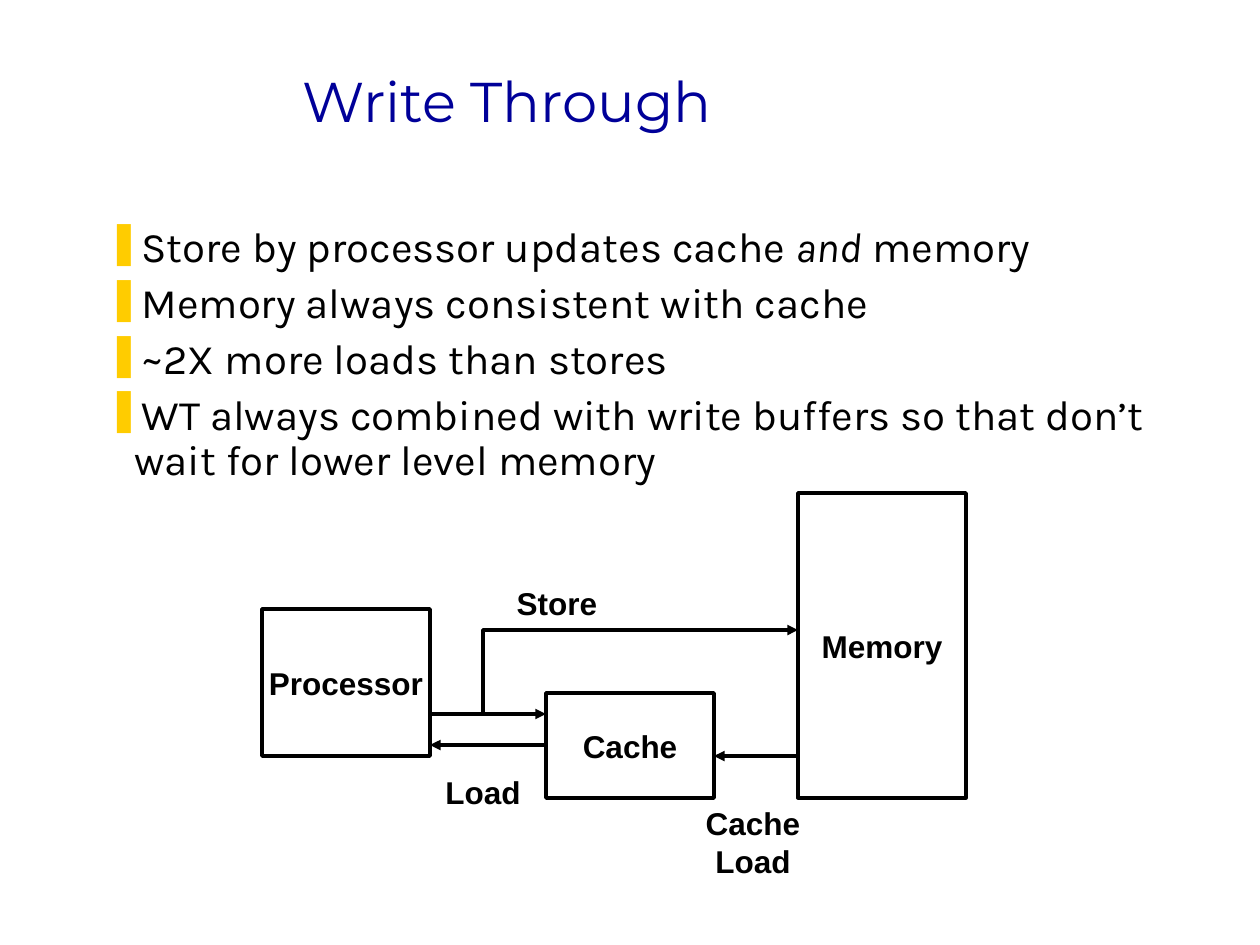
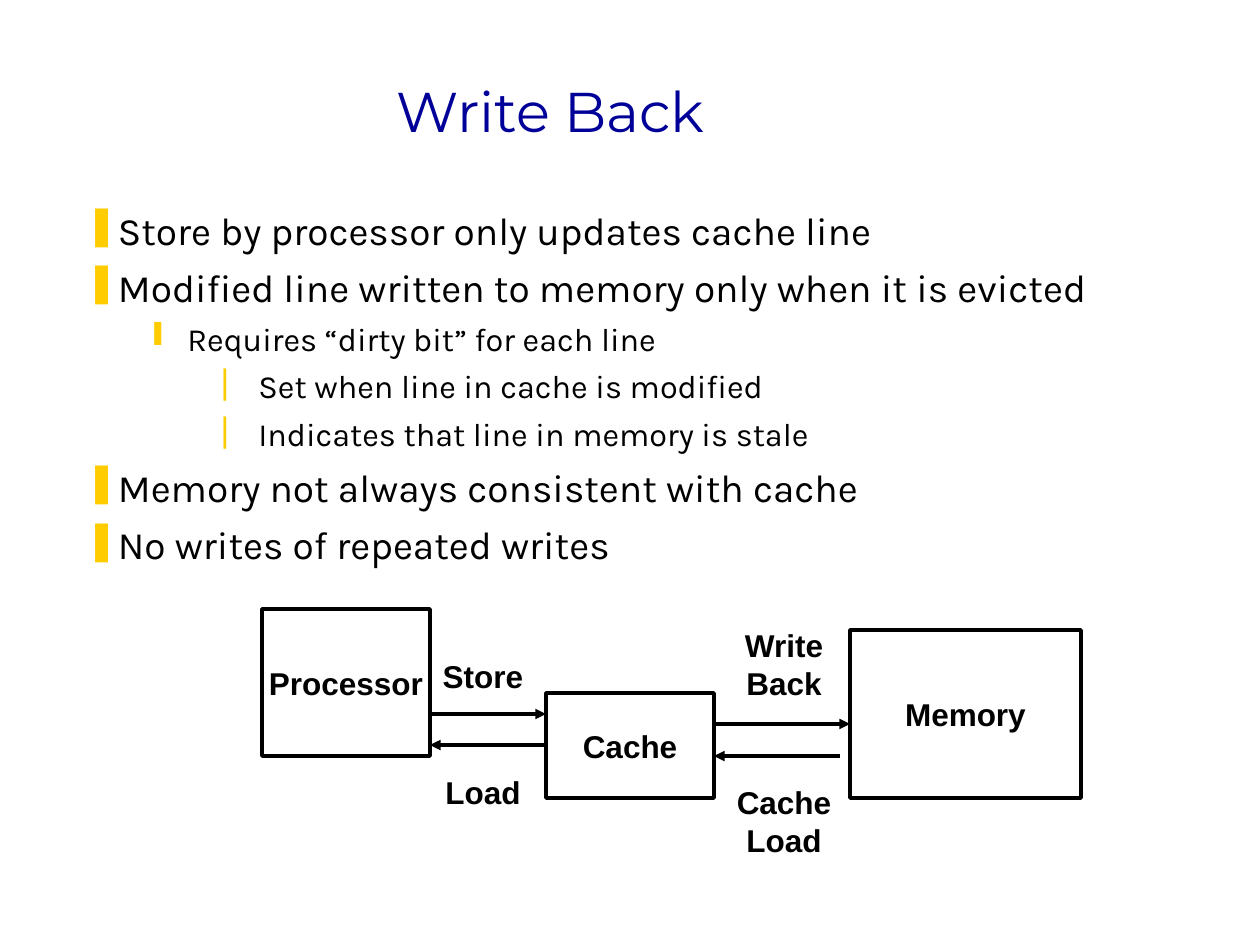
from lxml import etree
from pptx import Presentation
from pptx.dml.color import RGBColor
from pptx.enum.shapes import MSO_CONNECTOR, MSO_SHAPE
from pptx.enum.text import MSO_ANCHOR, PP_ALIGN
from pptx.oxml.ns import qn
from pptx.util import Emu, Pt

RECTANGLE, STRAIGHT = MSO_SHAPE.RECTANGLE, MSO_CONNECTOR.STRAIGHT
MIDDLE, CENTER = MSO_ANCHOR.MIDDLE, PP_ALIGN.CENTER

NAVY = RGBColor(0x00, 0x00, 0x99)
GOLD = RGBColor(0xFF, 0xCC, 0x00)
BLACK = RGBColor(0x00, 0x00, 0x00)
WHITE = RGBColor(0xFF, 0xFF, 0xFF)

TITLE_FONT, BODY_FONT, DIAGRAM_FONT = "Montserrat", "Karla", "Arial"
PX_PER_INCH = 126
PAGE_WIDTH, PAGE_HEIGHT = 1260, 945
LINE_WIDTH = Pt(2)

# Outline level: bullet, left margin px, hanging px, space before pt
LEVELS = [("❚", 28, 28, 6), ("❙", 102, 34, 5), ("❘", 173, 47, 5)]

# Both diagrams share the processor, the cache and the load between them
SHARED_BLOCKS = [
    ("Processor", (262, 609, 168, 147)),
    ("Cache", (546, 693, 168, 105)),
]
SHARED_ARROWS = [
    [(430, 714), (546, 714)],
    [(546, 745), (430, 745)],
]
SHARED_LABELS = [("Load", (433, 767, 100, 50))]

# A bullet is (level, spans); a span between asterisks is italic
SLIDES = [
    {
        "title": ("Write Through", (294, 63, 450, 74)),
        "body_area": (94, 220, 1082, 273),
        "line_spacing": 0.9,
        "sizes": [24],
        "bullets": [
            (0, ["Store by processor updates cache ", "*and*", " memory"]),
            (0, ["Memory always consistent with cache"]),
            (0, ["~2X more loads than stores"]),
            (0, ["WT always combined with write buffers so that don’t "
                 "wait for lower level memory"]),
        ],
        "blocks": [("Memory", (798, 493, 168, 305))],
        "arrows": [
            [(483, 714), (483, 630), (798, 630)],
            [(798, 756), (714, 756)],
        ],
        "labels": [
            ("Store", (504, 578, 106, 50)),
            ("Cache\nLoad", (693, 798, 120, 88)),
        ],
    },
    {
        "title": ("Write Back", (388, 73, 354, 74)),
        "body_area": (73, 200, 1127, 388),
        "line_spacing": 1.0,
        "sizes": [22.2, 18.5, 18.5],
        "bullets": [
            (0, ["Store by processor only updates cache line"]),
            (0, ["Modified line written to memory only when it is evicted"]),
            (1, ["Requires “dirty bit” for each line"]),
            (2, ["Set when line in cache is modified"]),
            (2, ["Indicates that line in memory is stale"]),
            (0, ["Memory not always consistent with cache"]),
            (0, ["No writes of repeated writes"]),
        ],
        "blocks": [("Memory", (850, 630, 231, 168))],
        "arrows": [
            [(840, 756), (714, 756)],
            [(714, 724), (850, 724)],
        ],
        "labels": [
            ("Store", (430, 651, 106, 50)),
            ("Cache\nLoad", (724, 777, 120, 88)),
            ("Write\nBack", (732, 620, 104, 88)),
        ],
    },
]


def px(length):
    return Emu(round(length * 914400 / PX_PER_INCH))


def scaled(lengths):
    return [px(length) for length in lengths]


def style_font(font, name, size, color, bold=False):
    font.name, font.size, font.bold = name, Pt(size), bold
    font.color.rgb = color


def add_text_box(page, area, margins=(12.6, 6.3)):
    frame = page.shapes.add_textbox(*scaled(area)).text_frame
    frame.margin_left = frame.margin_right = px(margins[0])
    frame.margin_top = frame.margin_bottom = px(margins[1])
    frame.word_wrap = True
    return frame


def add_title(page, text, area):
    frame = add_text_box(page, area, margins=(9, 4))
    frame.text = text
    style_font(frame.paragraphs[0].runs[0].font, TITLE_FONT, 32, NAVY)


def set_bullet(para, character, margin, hanging):
    properties = para._p.get_or_add_pPr()
    properties.set("marL", str(px(margin)))
    properties.set("indent", str(-px(hanging)))
    color = etree.SubElement(properties, qn("a:buClr"))
    etree.SubElement(color, qn("a:srgbClr"), val=str(GOLD))
    etree.SubElement(properties, qn("a:buChar"), char=character)


def add_bullets(page, area, bullets, sizes, line_spacing):
    frame = add_text_box(page, area)
    for index, (level, spans) in enumerate(bullets):
        para = frame.add_paragraph() if index else frame.paragraphs[0]
        character, margin, hanging, space = LEVELS[level]
        para.level = level
        para.line_spacing = line_spacing
        para.space_before = Pt(space)
        set_bullet(para, character, margin, hanging)
        for text in spans:
            span = para.add_run()
            span.text = text.strip("*")
            style_font(span.font, BODY_FONT, sizes[level], BLACK)
            span.font.italic = text.startswith("*")


def set_diagram_text(frame, text):
    frame.text = text
    frame.word_wrap = False
    for para in frame.paragraphs:
        para.alignment = CENTER
        style_font(para.runs[0].font, DIAGRAM_FONT, 18, BLACK, bold=True)


def set_outline(shape):
    shape.line.color.rgb = BLACK
    shape.line.width = LINE_WIDTH


def add_block(page, text, area):
    block = page.shapes.add_shape(RECTANGLE, *scaled(area))
    block.shadow.inherit = False
    block.fill.solid()
    block.fill.fore_color.rgb = WHITE
    set_outline(block)
    block.text_frame.vertical_anchor = MIDDLE
    set_diagram_text(block.text_frame, text)


def add_arrow(page, points):
    """Draw a connector for two points, or an open outline for more."""
    start, *others = [scaled(point) for point in points]
    if len(others) == 1:
        arrow = page.shapes.add_connector(STRAIGHT, *start, *others[0])
        set_outline(arrow)
        etree.SubElement(arrow.element.spPr, qn("a:effectLst"))
    else:
        builder = page.shapes.build_freeform(*start)
        builder.add_line_segments(others, close=False)
        arrow = builder.convert_to_shape()
        arrow.fill.background()
        arrow.shadow.inherit = False
        set_outline(arrow)
    outline = arrow.element.spPr.find(qn("a:ln"))
    etree.SubElement(outline, qn("a:tailEnd"), type="triangle")


def add_slide(deck, content):
    page = deck.slides.add_slide(deck.slide_layouts[6])
    add_title(page, *content["title"])
    add_bullets(page, content["body_area"], content["bullets"],
                content["sizes"], content["line_spacing"])
    for text, area in SHARED_BLOCKS + content["blocks"]:
        add_block(page, text, area)
    for points in SHARED_ARROWS + content["arrows"]:
        add_arrow(page, points)
    for text, area in SHARED_LABELS + content["labels"]:
        set_diagram_text(add_text_box(page, area), text)


def main():
    deck = Presentation()
    deck.slide_width, deck.slide_height = px(PAGE_WIDTH), px(PAGE_HEIGHT)
    for content in SLIDES:
        add_slide(deck, content)
    deck.save("out.pptx")


if __name__ == "__main__":
    main()
